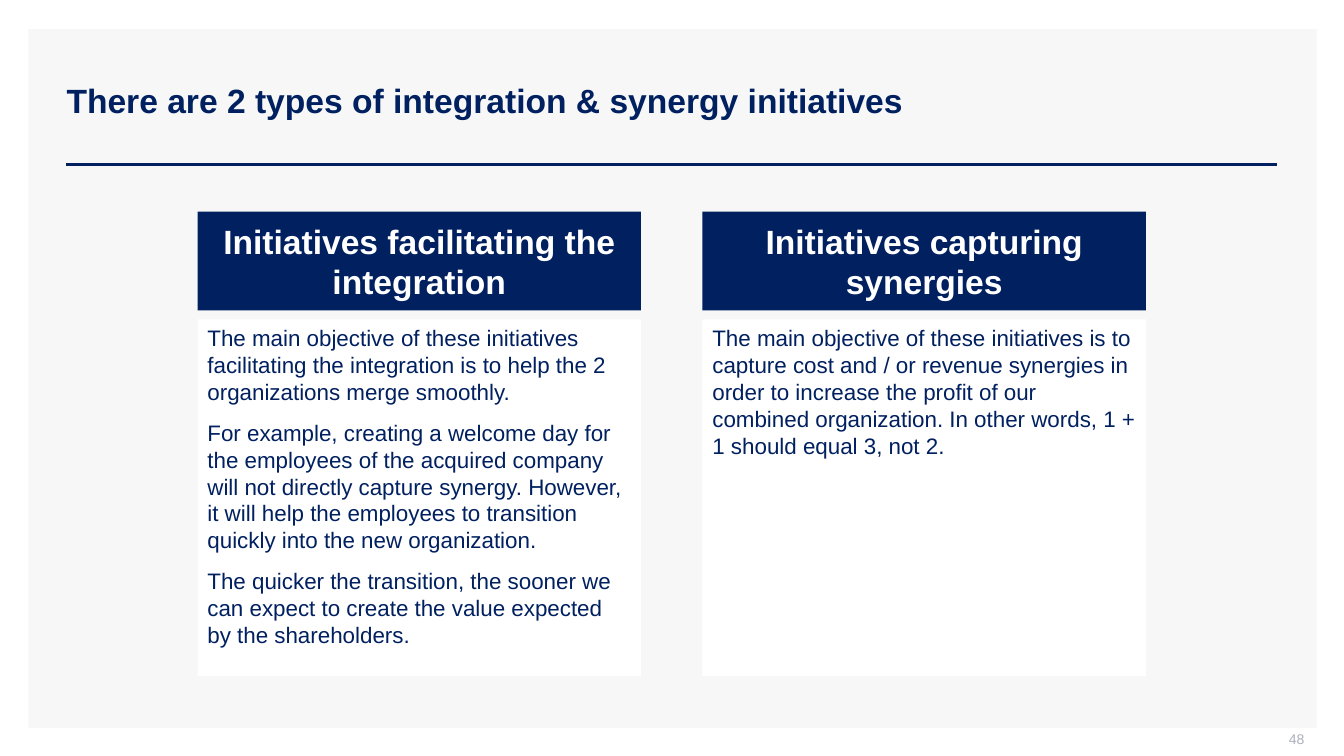
from pptx import Presentation
from pptx.dml.color import RGBColor
from pptx.enum.shapes import MSO_CONNECTOR, MSO_SHAPE
from pptx.enum.text import MSO_ANCHOR, MSO_AUTO_SIZE, PP_ALIGN
from pptx.oxml.ns import qn
from pptx.util import Pt
from lxml import etree

NAVY = RGBColor(0x00, 0x20, 0x60)
WHITE = RGBColor(0xFF, 0xFF, 0xFF)
PANEL_GREY = RGBColor(0xF7, 0xF7, 0xF7)
NUMBER_GREY = RGBColor(0xAD, 0xAF, 0xBB)

RECTANGLE = MSO_SHAPE.RECTANGLE
STRAIGHT = MSO_CONNECTOR.STRAIGHT
TOP, MIDDLE = MSO_ANCHOR.TOP, MSO_ANCHOR.MIDDLE
LEFT, CENTER, RIGHT = PP_ALIGN.LEFT, PP_ALIGN.CENTER, PP_ALIGN.RIGHT
NO_AUTOFIT = MSO_AUTO_SIZE.NONE

FONT = "Arial"
TITLE_ONLY = 5

# Column grid, in points
COLUMN_LEFT, COLUMN_STEP, COLUMN_WIDTH = 141.1, 360.7, 316.8
HEADING_TOP, HEADING_HEIGHT = 151.2, 70.6
BODY_TOP, BODY_HEIGHT = 228.2, 254.9

COLUMNS = [
    ("Initiatives facilitating the integration", [
        "The main objective of these initiatives facilitating the integration "
        "is to help the 2 organizations merge smoothly.",
        "For example, creating a welcome day for the employees of the acquired "
        "company will not directly capture synergy. However, it will help the "
        "employees to transition quickly into the new organization.",
        "The quicker the transition, the sooner we can expect to create the "
        "value expected by the shareholders.",
    ]),
    ("Initiatives capturing synergies", [
        "The main objective of these initiatives is to capture cost and / or "
        "revenue synergies in order to increase the profit of our combined "
        "organization. In other words, 1 + 1 should equal 3, not 2.",
    ]),
]


def write_text(box, paragraphs, size=16, color=NAVY, bold=False, align=LEFT,
               anchor=TOP, gap=0):
    frame = box.text_frame
    frame.word_wrap = True
    frame.auto_size = NO_AUTOFIT
    frame.vertical_anchor = anchor
    for index, text in enumerate(paragraphs):
        para = frame.add_paragraph() if index else frame.paragraphs[0]
        para.alignment = align
        para.space_before = Pt(gap if index else 0)
        para.space_after = Pt(gap)
        span = para.add_run()
        span.text = text
        span.font.name = FONT
        span.font.size = Pt(size)
        span.font.bold = bold
        span.font.color.rgb = color


class SlideBuilder:
    def __init__(self, page):
        self.page = page

    def rectangle(self, left, top, width, height, fill):
        box = self.page.shapes.add_shape(
            RECTANGLE, Pt(left), Pt(top), Pt(width), Pt(height))
        box.shadow.inherit = False
        box.fill.solid()
        box.fill.fore_color.rgb = fill
        box.line.fill.background()
        return box

    def rule(self, left, right, y):
        line = self.page.shapes.add_connector(
            STRAIGHT, Pt(left), Pt(y), Pt(right), Pt(y))
        line.line.color.rgb = NAVY
        line.line.width = Pt(2)
        etree.SubElement(line.element.spPr, qn("a:effectLst"))

    def title(self, text, left, top, width, height):
        box = self.page.shapes.title
        box.left, box.top = Pt(left), Pt(top)
        box.width, box.height = Pt(width), Pt(height)
        # Bring the title in front of the panel
        box.element.getparent().append(box.element)
        write_text(box, [text], size=24, bold=True, anchor=MIDDLE)

    def page_number(self, text, left, top, width, height):
        box = self.page.shapes.add_textbox(
            Pt(left), Pt(top), Pt(width), Pt(height))
        frame = box.text_frame
        frame.margin_top, frame.margin_bottom = 0, Pt(3.6)
        write_text(box, [text], size=10, color=NUMBER_GREY, align=RIGHT,
                   anchor=MIDDLE)

    def column(self, left, heading, paragraphs):
        header = self.rectangle(
            left, HEADING_TOP, COLUMN_WIDTH, HEADING_HEIGHT, NAVY)
        write_text(header, [heading], size=24, color=WHITE, bold=True,
                   align=CENTER, anchor=MIDDLE)
        body = self.rectangle(
            left, BODY_TOP, COLUMN_WIDTH, BODY_HEIGHT, WHITE)
        write_text(body, paragraphs, gap=5)


def main():
    deck = Presentation()
    deck.slide_width, deck.slide_height = Pt(960), Pt(540)
    builder = SlideBuilder(
        deck.slides.add_slide(deck.slide_layouts[TITLE_ONLY]))

    # Panel, title and rule
    builder.rectangle(20.2, 20.9, 920.2, 499, PANEL_GREY)
    builder.rule(47.5, 912.2, 117.4)
    builder.title("There are 2 types of integration & synergy initiatives",
                  40.3, 28.8, 871.9, 85.7)
    builder.page_number("48", 722.9, 522, 216, 15.1)

    # Two types of initiatives
    for index, (heading, paragraphs) in enumerate(COLUMNS):
        builder.column(COLUMN_LEFT + index * COLUMN_STEP, heading, paragraphs)

    deck.save("out.pptx")


if __name__ == "__main__":
    main()
